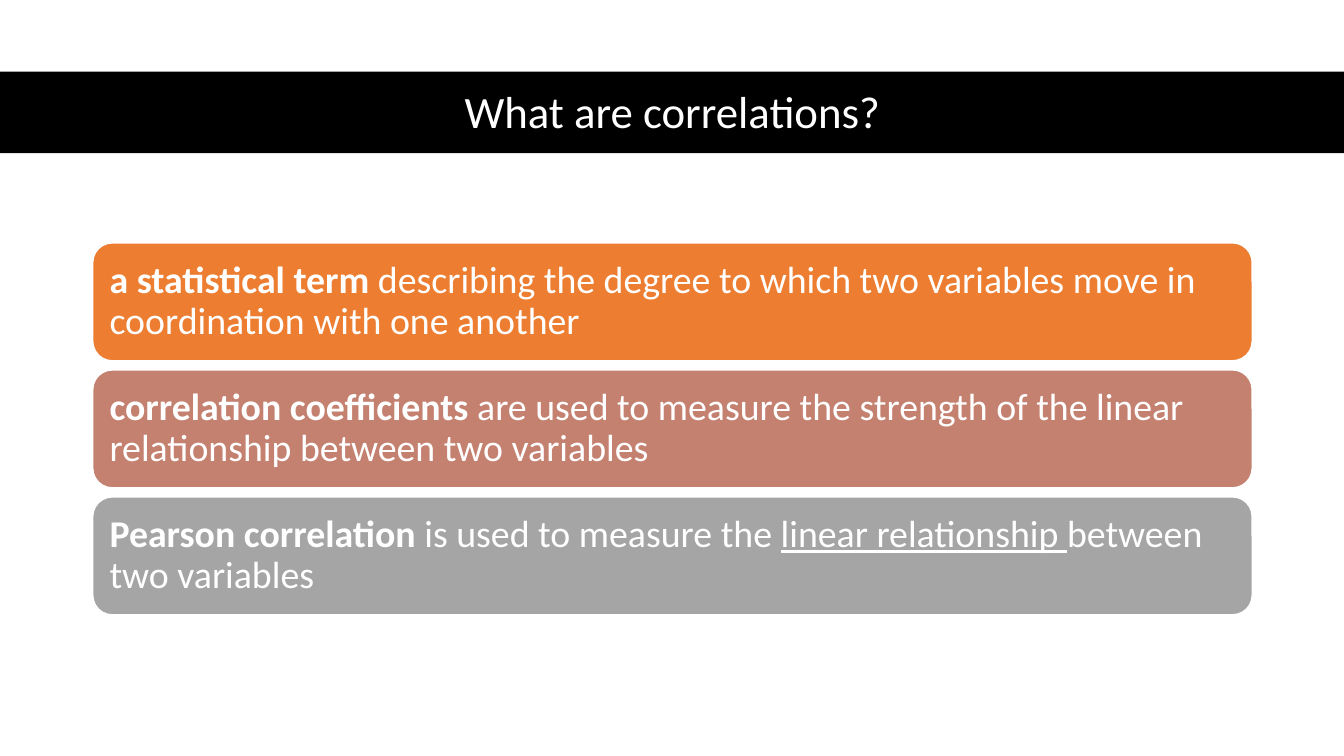
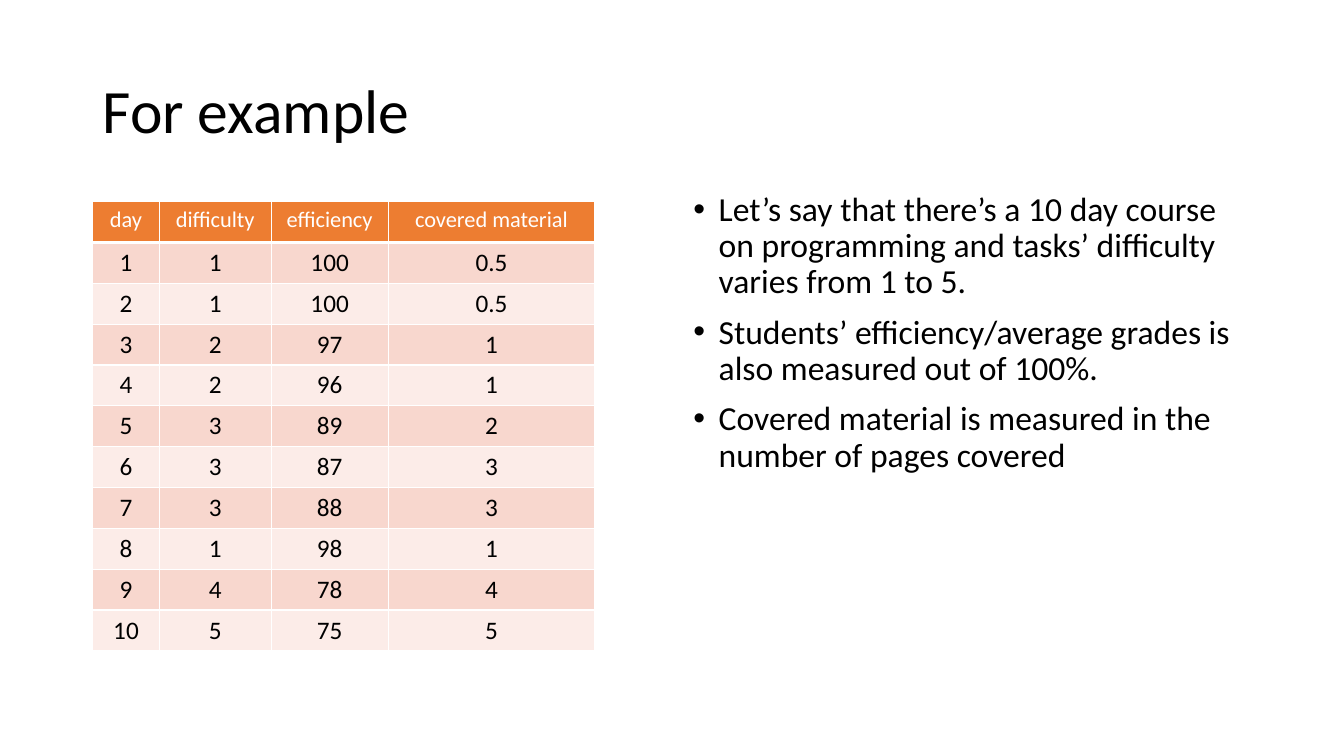
"""Build two slides that introduce correlations and a worked example."""
from lxml import etree
from pptx import Presentation
from pptx.dml.color import RGBColor
from pptx.enum.shapes import MSO_SHAPE as SHAPE
from pptx.enum.text import MSO_ANCHOR as ANCHOR, PP_ALIGN as ALIGN
from pptx.oxml.ns import qn
from pptx.util import Inches, Pt

FONT = "Calibri"
BLACK = RGBColor(0x00, 0x00, 0x00)
WHITE = RGBColor(0xFF, 0xFF, 0xFF)
ORANGE = RGBColor(0xED, 0x7D, 0x31)
ROSE = RGBColor(0xC4, 0x81, 0x70)
GRAY = RGBColor(0xA5, 0xA5, 0xA5)
BAND_DARK = RGBColor(0xF8, 0xD7, 0xCE)
BAND_LIGHT = RGBColor(0xFC, 0xEC, 0xE8)
LEFT, WIDTH = Inches(0.92), Inches(11.5)


def write(p, runs, size, color, **para):
    """Fill a paragraph with (text, font attributes) runs."""
    for name, value in para.items():
        setattr(p, name, value)
    for text, attrs in runs:
        r = p.add_run()
        r.text = text
        style = {"name": FONT, "size": Pt(size), **attrs}
        for name, value in style.items():
            setattr(r.font, name, value)
        r.font.color.rgb = color


def add_title(s, text, top, height, size, color, align):
    """Add a slide title, centred vertically in its box."""
    tf = s.shapes.add_textbox(LEFT, Inches(top), WIDTH, Inches(height)).text_frame
    tf.word_wrap = True
    tf.vertical_anchor = ANCHOR.MIDDLE
    write(tf.paragraphs[0], [(text, {})], size, color, alignment=align, line_spacing=0.9)


prs = Presentation()
prs.slide_width, prs.slide_height = Inches(13.33), Inches(7.5)
blank = prs.slide_layouts[6]

s = prs.slides.add_slide(blank)
band = s.shapes.add_shape(SHAPE.RECTANGLE, 0, Inches(0.71), prs.slide_width, Inches(0.81))
band.shadow.inherit = False
band.fill.solid()
band.fill.fore_color.rgb = BLACK
band.line.fill.background()
add_title(s, "What are correlations?", 0.74, 0.78, 32, WHITE, ALIGN.CENTER)

BOLD, UNDERLINE = {"bold": True}, {"underline": True}
cards = [
    (ORANGE, [("a statistical term ", BOLD),
              ("describing the degree to which two variables move in "
               "coordination with one another", {})]),
    (ROSE, [("correlation coefficients ", BOLD),
            ("are used to measure the strength of the linear "
             "relationship between two variables", {})]),
    (GRAY, [("Pearson correlation ", BOLD),
            ("is used to measure the ", {}),
            ("linear relationship ", UNDERLINE),
            ("between two variables", {})]),
]
for i, (color, runs) in enumerate(cards):
    sp = s.shapes.add_shape(SHAPE.ROUNDED_RECTANGLE, LEFT, Inches(2.41 + i * 1.26),
                            WIDTH, Inches(1.17))
    sp.shadow.inherit = False
    sp.fill.solid()
    sp.fill.fore_color.rgb = color
    sp.line.color.rgb = WHITE
    sp.line.width = Pt(1)
    tf = sp.text_frame
    tf.word_wrap = True
    tf.vertical_anchor = ANCHOR.MIDDLE
    for side in ("left", "top", "right", "bottom"):
        setattr(tf, f"margin_{side}", Inches(0.11))
    tf.margin_left = tf.margin_right = Inches(0.11)
    write(tf.paragraphs[0], runs, 27, WHITE, alignment=ALIGN.LEFT, line_spacing=0.9)

s = prs.slides.add_slide(blank)
add_title(s, "For example", 0.4, 1.45, 44, BLACK, ALIGN.LEFT)

rows = [
    ("day", "difficulty", "efficiency", "covered material"),
    (1, 1, 100, 0.5),
    (2, 1, 100, 0.5),
    (3, 2, 97, 1),
    (4, 2, 96, 1),
    (5, 3, 89, 2),
    (6, 3, 87, 3),
    (7, 3, 88, 3),
    (8, 1, 98, 1),
    (9, 4, 78, 4),
    (10, 5, 75, 5),
]
widths = (0.66, 1.11, 1.16, 2.05)
table = s.shapes.add_table(len(rows), len(widths), LEFT, Inches(2),
                           Inches(sum(widths)), Inches(4.46)).table
for col, width in zip(table.columns, widths):
    col.width = Inches(width)
for i, row in enumerate(rows):
    header = i == 0
    fill = ORANGE if header else BAND_DARK if i % 2 else BAND_LIGHT
    for j, value in enumerate(row):
        cell = table.cell(i, j)
        write(cell.text_frame.paragraphs[0], [(str(value), {"bold": False})],
              16 if header else 18, WHITE if header else BLACK, alignment=ALIGN.CENTER)
        tcPr = cell._tc.get_or_add_tcPr()
        edges = {"lnL": 1, "lnR": 1, "lnT": 3 if i == 1 else 1, "lnB": 3 if header else 1}
        for edge, points in edges.items():
            ln = etree.SubElement(tcPr, qn(f"a:{edge}"), w=str(Pt(points)))
            solid = etree.SubElement(ln, qn("a:solidFill"))
            etree.SubElement(solid, qn("a:srgbClr"), val=str(WHITE))
        cell.fill.solid()
        cell.fill.fore_color.rgb = fill

points = [
    "Let’s say that there’s a 10 day course on programming and tasks’ difficulty "
    "varies from 1 to 5.",
    "Students’ efficiency/average grades is also measured out of 100%.",
    "Covered material is measured in the number of pages covered",
]
tf = s.shapes.add_textbox(Inches(6.78), Inches(1.86), Inches(5.64), Inches(4.76)).text_frame
tf.word_wrap = True
for i, text in enumerate(points):
    p = tf.add_paragraph() if i else tf.paragraphs[0]
    pPr = p._p.get_or_add_pPr()
    pPr.set("marL", str(Inches(0.25)))
    pPr.set("indent", str(-Inches(0.25)))
    etree.SubElement(pPr, qn("a:buFont"), typeface="Arial")
    etree.SubElement(pPr, qn("a:buChar"), char="•")
    write(p, [(text, {})], 24, BLACK, line_spacing=0.9, space_before=Pt(10 if i else 0))

prs.save("out.pptx")
